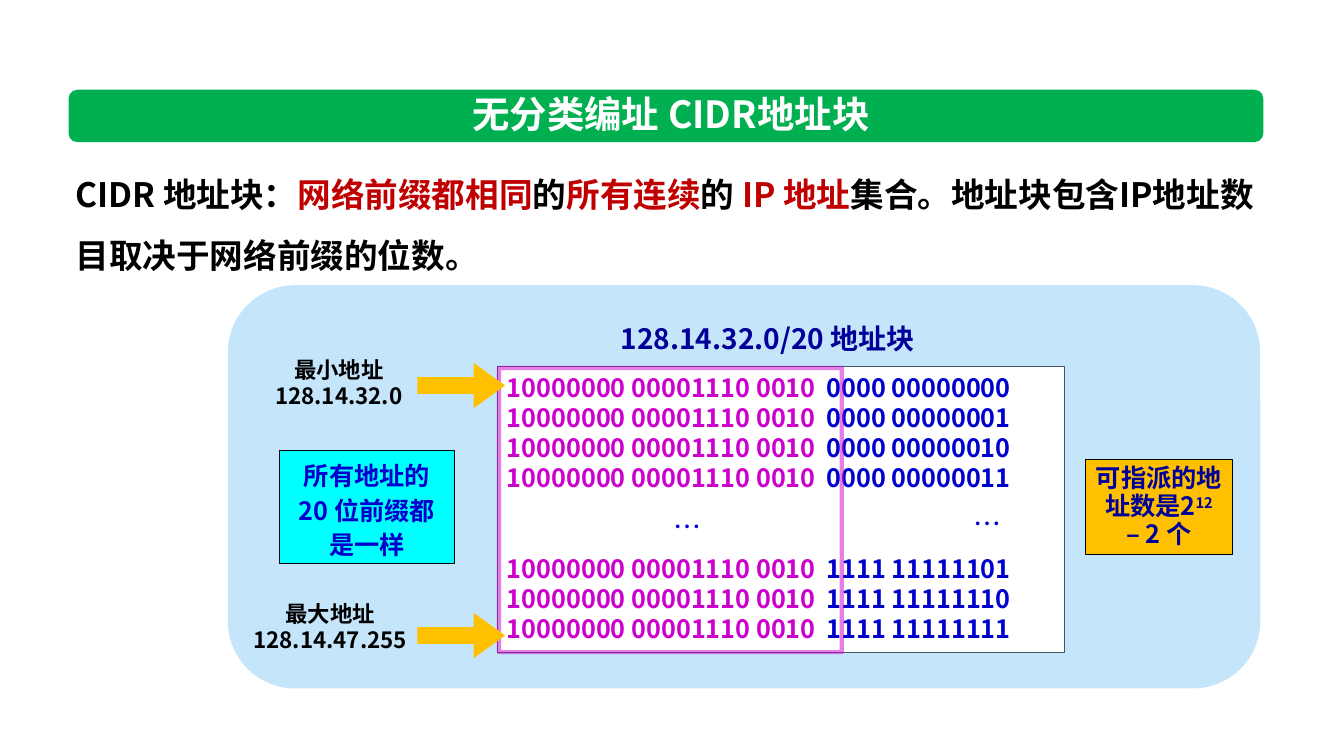
from lxml.etree import SubElement
from pptx import Presentation
from pptx.dml.color import RGBColor
from pptx.enum.shapes import MSO_SHAPE
from pptx.enum.text import MSO_ANCHOR, PP_ALIGN
from pptx.oxml.ns import qn
from pptx.util import Inches, Pt

FONT = "Noto Sans CJK SC"
BLACK, WHITE, RED = "000000", "FFFFFF", "C00000"
MAGENTA, BLUE, NAVY = "CC00CC", "0000CC", "000099"
GREEN, PALE_BLUE, CYAN, AMBER, SLATE = "00B050", "C5E5FB", "00FFFF", "FFC000", "44546A"

TITLE = "无分类编址 CIDR地址块"
DEFINITION = [
    ("CIDR 地址块：", BLACK), ("网络前缀都相同", RED), ("的", BLACK),
    ("所有连续", RED), ("的 ", BLACK), ("IP 地址", RED),
    ("集合。地址块包含IP地址数目取决于网络前缀的位数。", BLACK),
]
BLOCK_NAME = "128.14.32.0/20 地址块"
PREFIX = "10000000 00001110 0010"
FIRST_HOSTS = ["0000 00000000", "0000 00000001", "0000 00000010", "0000 00000011"]
LAST_HOSTS = ["1111 11111101", "1111 11111110", "1111 11111111"]
PREFIX_NOTE = "所有地址的 20 位前缀都是一样"
COUNT_NOTE = [("可指派的地址数是2", NAVY), ("12", NAVY), (" – 2 个", NAVY)]
# lines, label box, arrow top
LIMITS = [
    (["最小地址", "128.14.32.0"], (2.49, 3.48, 1.74, 0.64), 3.6),
    (["最大地址", "128.14.47.255"], (2.27, 5.9, 2.01, 0.64), 6.08),
]
ELLIPSES = [(9.56, 4.98, 0.48, 0.44), (6.58, 5.01, 0.48, 0.44)]
ROW_HEIGHT = 21.6  # points
SKIPPED_ROWS = 2


def color(value):
    return RGBColor.from_string(value)


def inches(box):
    return [Inches(length) for length in box]


def add_shape(kind, box, fill=None, line=None, width=0.75):
    shape = slide.shapes.add_shape(kind, *inches(box))
    shape.shadow.inherit = False
    if fill:
        shape.fill.solid()
        shape.fill.fore_color.rgb = color(fill)
    else:
        shape.fill.background()
    if line:
        shape.line.color.rgb = color(line)
        shape.line.width = Pt(width)
    else:
        shape.line.fill.background()
    shape.text_frame.vertical_anchor = MSO_ANCHOR.TOP
    return shape


def add_text(box, paragraphs, size, wrap=True, **style):
    shape = slide.shapes.add_textbox(*inches(box))
    write(shape, paragraphs, size, **style)
    shape.text_frame.word_wrap = wrap
    return shape


def write(shape, paragraphs, size, align=PP_ALIGN.LEFT, spacing=1.0, bold=True):
    """Fill a shape with paragraphs, each a list of (text, colour) runs."""
    frame = shape.text_frame
    for index, runs in enumerate(paragraphs):
        paragraph = frame.add_paragraph() if index else frame.paragraphs[0]
        paragraph.alignment = align
        paragraph.line_spacing = spacing
        for text, ink in runs:
            run = paragraph.add_run()
            run.text = text
            font = run.font
            font.name, font.size, font.bold = FONT, Pt(size), bold
            font.color.rgb = color(ink)
            SubElement(font._element, qn("a:ea"), typeface=FONT)
    return frame


presentation = Presentation()
presentation.slide_width, presentation.slide_height = Inches(13.33), Inches(7.5)
slide = presentation.slides.add_slide(presentation.slide_layouts[5])

# Banner, title and definition
banner = add_shape(MSO_SHAPE.ROUNDED_RECTANGLE, (0.68, 0.89, 11.85, 0.52), GREEN)
add_shape(MSO_SHAPE.ROUNDED_RECTANGLE, (2.26, 2.83, 10.24, 4), PALE_BLUE)
title = slide.shapes.title
title.left, title.top, title.width, title.height = inches((1.82, 0.89, 9.67, 0.52))
title.text_frame.vertical_anchor = MSO_ANCHOR.MIDDLE
write(title, [[(TITLE, WHITE)]], 26.7, PP_ALIGN.CENTER, 0.9)
banner.element.addnext(title.element)
add_text((0.65, 1.48, 12.04, 1.24), [DEFINITION], 24, spacing=1.5)

# Address block
add_text((4.6, 3.11, 6.03, 0.45), [[(BLOCK_NAME, NAVY)]], 20,
         align=PP_ALIGN.CENTER, spacing=1.1)
block = add_shape(MSO_SHAPE.RECTANGLE, (4.93, 3.64, 5.63, 2.83), WHITE, SLATE)
rows = [[(PREFIX, MAGENTA), ("\t" + host, BLUE)] for host in FIRST_HOSTS + LAST_HOSTS]
frame = write(block, rows, 18)
frame.paragraphs[len(FIRST_HOSTS)].space_before = Pt(SKIPPED_ROWS * ROW_HEIGHT)
for paragraph in frame.paragraphs:
    tabs = SubElement(paragraph._p.get_or_add_pPr(), qn("a:tabLst"))
    SubElement(tabs, qn("a:tab"), pos=str(Inches(3.17)), algn="l")
for box in ELLIPSES:
    add_text(box, [[("…", BLUE)]], 20, wrap=False, bold=False)

prefix_frame = add_shape(MSO_SHAPE.RECTANGLE, (4.95, 3.65, 3.4, 2.82), line=MAGENTA, width=3)
line_color = prefix_frame.line._ln.find(".//" + qn("a:srgbClr"))
SubElement(line_color, qn("a:alpha"), val="50000")

# Notes beside the block
prefix_note = add_shape(MSO_SHAPE.RECTANGLE, (2.77, 4.47, 1.74, 1.12), CYAN, BLACK)
write(prefix_note, [[(PREFIX_NOTE, BLUE)]], 18, PP_ALIGN.CENTER, 1.15)
count_note = add_shape(MSO_SHAPE.RECTANGLE, (10.77, 4.56, 1.45, 0.94), AMBER, BLACK)
frame = write(count_note, [COUNT_NOTE], 18, PP_ALIGN.CENTER, Pt(20))
frame.paragraphs[0].runs[1].font._element.set("baseline", "30000")

# Lowest and highest address
for lines, label_box, arrow_top in LIMITS:
    arrow = add_shape(MSO_SHAPE.RIGHT_ARROW, (4.14, arrow_top, 0.87, 0.45), AMBER)
    arrow.adjustments[0], arrow.adjustments[1] = 0.37, 0.695
    add_text(label_box, [[(line, BLACK)] for line in lines], 16, align=PP_ALIGN.CENTER)

presentation.save("out.pptx")
